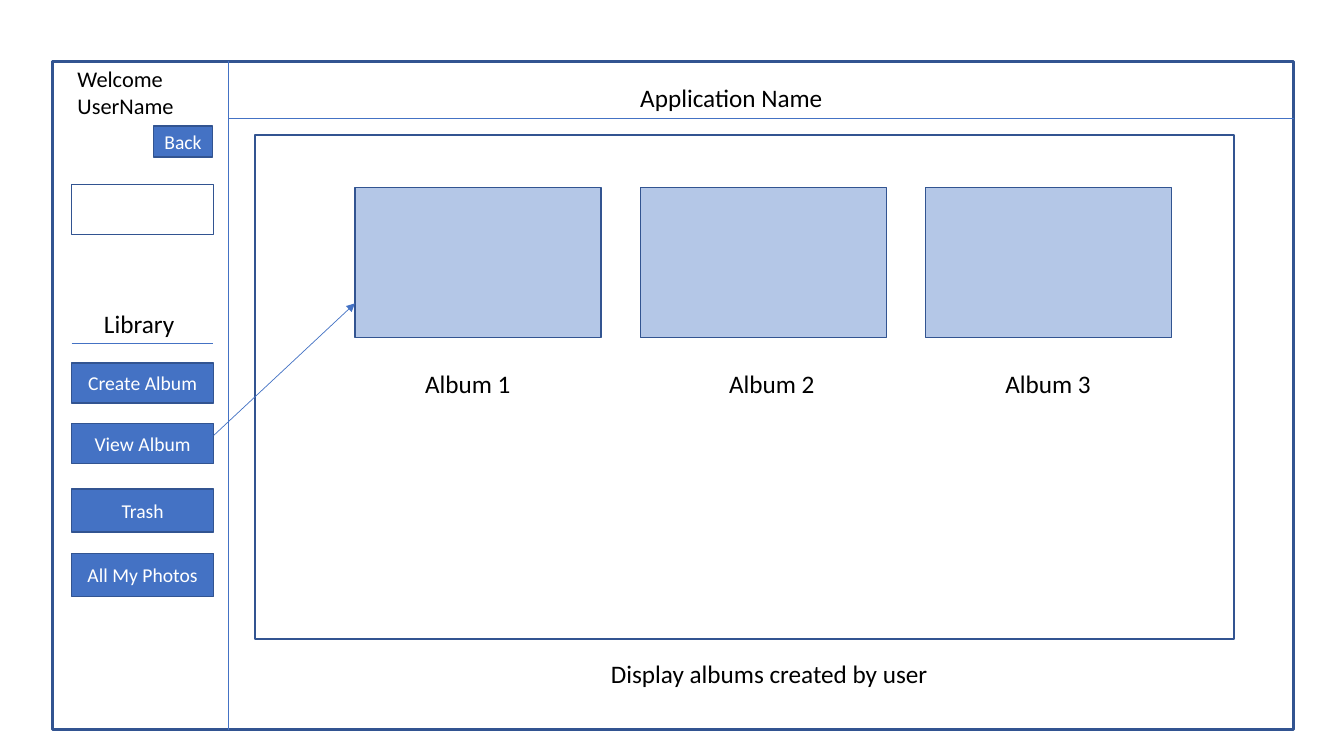
from dataclasses import dataclass

from lxml.etree import SubElement
from pptx import Presentation
from pptx.dml.color import RGBColor
from pptx.enum.shapes import MSO_CONNECTOR, MSO_SHAPE
from pptx.enum.text import MSO_ANCHOR, MSO_AUTO_SIZE, PP_ALIGN
from pptx.oxml.ns import qn
from pptx.shapes.autoshape import Shape
from pptx.util import Inches, Pt

BLUE, EDGE, PALE = "4472C4", "325491", "B4C7E7"
BLACK, WHITE = "000000", "FFFFFF"
SIDE, SPAN = 0.71, 1.41
LEFT, CENTER = PP_ALIGN.LEFT, PP_ALIGN.CENTER


@dataclass
class Box:
    x: float
    y: float
    w: float
    h: float
    fill: str = ""
    text: str = ""
    weight: float = 1


@dataclass
class Label:
    text: str
    x: float
    y: float
    w: float
    h: float = 0.4
    size: float = 18
    align: PP_ALIGN = CENTER


@dataclass
class Rule:
    x1: float
    y1: float
    x2: float
    y2: float
    arrow: bool = False


def color(code: str) -> RGBColor:
    return RGBColor.from_string(code)


def write(shape: Shape, text: str, size: float, ink: str,
          align: PP_ALIGN, anchor: MSO_ANCHOR) -> None:
    frame = shape.text_frame
    frame.text = text
    frame.word_wrap = True
    frame.auto_size = MSO_AUTO_SIZE.NONE
    frame.vertical_anchor = anchor
    for para in frame.paragraphs:
        para.alignment = align
        for run in para.runs:
            run.font.name = "Calibri"
            run.font.size = Pt(size)
            run.font.color.rgb = color(ink)


def add_box(slide, box: Box) -> None:
    shape = slide.shapes.add_shape(
        MSO_SHAPE.RECTANGLE, Inches(box.x), Inches(box.y), Inches(box.w), Inches(box.h))
    shape.shadow.inherit = False
    shape.line.color.rgb = color(EDGE)
    shape.line.width = Pt(box.weight)
    if box.fill:
        shape.fill.solid()
        shape.fill.fore_color.rgb = color(box.fill)
    else:
        shape.fill.background()
    if box.text:
        write(shape, box.text, 14, WHITE, CENTER, MSO_ANCHOR.MIDDLE)


def add_label(slide, label: Label) -> None:
    shape = slide.shapes.add_textbox(
        Inches(label.x), Inches(label.y), Inches(label.w), Inches(label.h))
    write(shape, label.text, label.size, BLACK, label.align, MSO_ANCHOR.TOP)


def add_rule(slide, rule: Rule) -> None:
    line = slide.shapes.add_connector(
        MSO_CONNECTOR.STRAIGHT, Inches(rule.x1), Inches(rule.y1),
        Inches(rule.x2), Inches(rule.y2))
    line.line.color.rgb = color(BLUE)
    line.line.width = Pt(0.5)
    if rule.arrow:
        SubElement(line.line._get_or_add_ln(), qn("a:tailEnd"), type="triangle")
    SubElement(line._element.spPr, qn("a:effectLst"))


def set_title(slide) -> None:
    title = slide.shapes.title
    title.left, title.top = Inches(6.25), Inches(0.77)
    title.width, title.height = Inches(2.47), Inches(0.4)
    write(title, "Application Name", 18, BLACK, LEFT, MSO_ANCHOR.TOP)


WINDOW = Box(0.52, 0.61, 12.31, 6.63, weight=2.25)
SEARCH = Box(SIDE, 1.83, SPAN, 0.5)
PANEL = Box(2.53, 1.34, 9.71, 5)
ALBUMS = [Box(3.52 + 2.83 * col, 1.86, 2.44, 1.49, PALE) for col in range(3)]
BACK = Box(1.52, 1.25, 0.59, 0.31, BLUE, "Back")
MENU = [
    Box(SIDE, y, SPAN, h, BLUE, text)
    for text, y, h in [
        ("Create Album", 3.6, 0.4),
        ("View Album", 4.2, 0.4),
        ("Trash", 4.85, 0.43),
        ("All My Photos", 5.49, 0.43),
    ]
]
LABELS = [
    Label("Welcome UserName", 0.67, 0.6, 1.45, 0.64, 16, LEFT),
    Label("Library", SIDE, 3.01, 1.34),
    Label("Album 1", 4.02, 3.6, 1.24),
    Label("Album 2", 6.86, 3.6, 1.59),
    Label("Album 3", 7.06, 3.61, 6.67),
    Label("Display albums created by user", 5.96, 6.48, 5.89, align=LEFT),
]
RULES = [
    Rule(2.27, 0.61, 2.27, 7.24),
    Rule(2.27, 1.17, 12.83, 1.17),
    Rule(SIDE, 3.41, 2.11, 3.41),
    Rule(2.12, 4.32, 3.52, 3.01, arrow=True),
]


def main() -> None:
    deck = Presentation()
    deck.slide_width, deck.slide_height = Inches(13.33), Inches(7.5)
    slide = deck.slides.add_slide(deck.slide_layouts[5])
    set_title(slide)
    for box in [WINDOW, SEARCH, PANEL, *ALBUMS, BACK, *MENU]:
        add_box(slide, box)
    for label in LABELS:
        add_label(slide, label)
    for rule in RULES:
        add_rule(slide, rule)
    deck.save("out.pptx")


if __name__ == "__main__":
    main()
